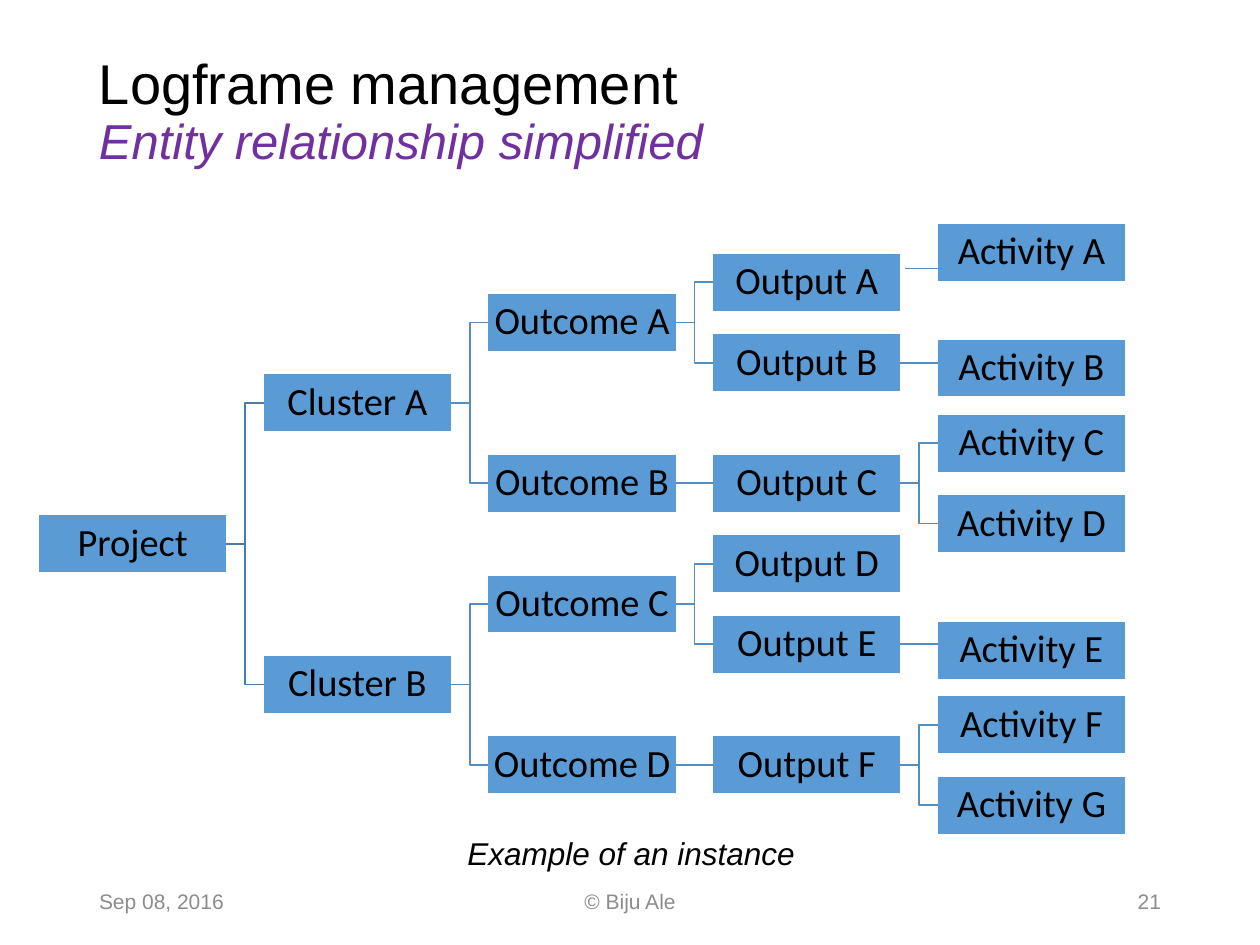
from lxml.etree import SubElement
from pptx import Presentation
from pptx.dml.color import RGBColor
from pptx.enum.shapes import MSO_CONNECTOR as Connector
from pptx.enum.text import MSO_ANCHOR as Anchor, PP_ALIGN as Align
from pptx.oxml.ns import qn
from pptx.util import Pt


def color(value):
    return RGBColor.from_string(value)


def write(frame, text, size, font, tint, align=Align.LEFT, italic=False):
    frame.vertical_anchor = Anchor.MIDDLE
    paragraph = frame.paragraphs[0]
    paragraph.text = text
    paragraph.alignment = align
    for run in paragraph.runs:
        run.font.size = Pt(size)
        run.font.name = font
        run.font.italic = italic
        run.font.color.rgb = color(tint)
    return paragraph


prs = Presentation()
prs.slide_width, prs.slide_height = Pt(720), Pt(540)
slide = prs.slides.add_slide(prs.slide_layouts[6])
shapes = slide.shapes

# Title with subtitle
title = shapes.add_textbox(Pt(49.5), Pt(13), Pt(621), Pt(103)).text_frame
title.word_wrap = True
heading = write(title, "Logframe management\vEntity relationship simplified",
                32, "Arial", "000000")
heading.line_spacing = 0.9
subtitle = heading.runs[1].font
subtitle.size, subtitle.italic = Pt(28), True
subtitle.color.rgb = color("7030A0")

# Footer
for left, width, text, align in [
    (49.5, 162, "Sep 08, 2016", Align.LEFT),
    (238.5, 243, "© Biju Ale", Align.CENTER),
    (508.5, 162, "21", Align.RIGHT),
]:
    footer = shapes.add_textbox(Pt(left), Pt(500.5), Pt(width), Pt(28.75)).text_frame
    footer.word_wrap = True
    write(footer, text, 12, "Arial", "8C8C8C", align)

# Tree: name -> (level, row, parent); rows are counted from Output A
tree = {
    "Project": (0, 6.5, None),
    "Cluster A": (1, 3, "Project"),
    "Cluster B": (1, 10, "Project"),
    "Outcome A": (2, 1, "Cluster A"),
    "Outcome B": (2, 5, "Cluster A"),
    "Outcome C": (2, 8, "Cluster B"),
    "Outcome D": (2, 12, "Cluster B"),
    "Output A": (3, 0, "Outcome A"),
    "Output B": (3, 2, "Outcome A"),
    "Output C": (3, 5, "Outcome B"),
    "Output D": (3, 7, "Outcome C"),
    "Output E": (3, 9, "Outcome C"),
    "Output F": (3, 12, "Outcome D"),
    "Activity A": (4, -0.74, "Output A"),
    "Activity B": (4, 2.13, "Output B"),
    "Activity C": (4, 4, "Output C"),
    "Activity D": (4, 6, "Output C"),
    "Activity E": (4, 9.15, "Output E"),
    "Activity F": (4, 11, "Output F"),
    "Activity G": (4, 13, "Output F"),
}
BOX_W, BOX_H, GAP = 107, 32.5, 21.4
FIRST_LEFT, FIRST_MIDDLE, ROW = 22.3, 161.3, 22.98

# Boxes and the links from their parents
links = []
for name, (level, row, parent) in tree.items():
    left = FIRST_LEFT + level * (BOX_W + GAP)
    middle = FIRST_MIDDLE + row * ROW
    outline = shapes.build_freeform(Pt(left), Pt(middle - BOX_H / 2))
    outline.add_line_segments([
        (Pt(left + BOX_W), Pt(middle - BOX_H / 2)),
        (Pt(left + BOX_W), Pt(middle + BOX_H / 2)),
        (Pt(left), Pt(middle + BOX_H / 2)),
    ], close=True)
    box = outline.convert_to_shape()
    box.shadow.inherit = False
    box.fill.solid()
    box.fill.fore_color.rgb = color("5B9BD5")
    box.line.fill.background()
    frame = box.text_frame
    frame.word_wrap = True
    frame.margin_left = frame.margin_right = Pt(1.1)
    frame.margin_top = frame.margin_bottom = Pt(1.1)
    write(frame, name, 22, "Calibri", "000000", Align.CENTER).line_spacing = 0.9

    if parent == "Output A":  # this link sits apart from both boxes
        links.append((517, 153.4, 538.4, 153.4, "538DC1"))
    elif parent:
        start = FIRST_MIDDLE + tree[parent][1] * ROW
        end = start if abs(middle - start) < ROW / 2 else middle
        tint = "497CAB" if level == 1 else "538DC1"
        links.append((left - GAP, start, left, end, tint))

# Straight or elbow links
for x1, y1, x2, y2, tint in links:
    if y1 == y2:
        link = shapes.add_connector(Connector.STRAIGHT, Pt(x1), Pt(y1), Pt(x2), Pt(y2))
        SubElement(link.element.spPr, qn("a:effectLst"))
    else:
        bend = (x1 + x2) / 2
        elbow = shapes.build_freeform(Pt(x1), Pt(y1))
        elbow.add_line_segments(
            [(Pt(bend), Pt(y1)), (Pt(bend), Pt(y2)), (Pt(x2), Pt(y2))], close=False)
        link = elbow.convert_to_shape()
        link.shadow.inherit = False
        link.fill.background()
    link.line.color.rgb = color(tint)
    link.line.width = Pt(1)

# Caption
caption = shapes.add_textbox(Pt(260), Pt(473), Pt(203), Pt(29)).text_frame
caption.word_wrap = False
write(caption, "Example of an instance", 18, "Arial", "000000", italic=True)

prs.save("out.pptx")
